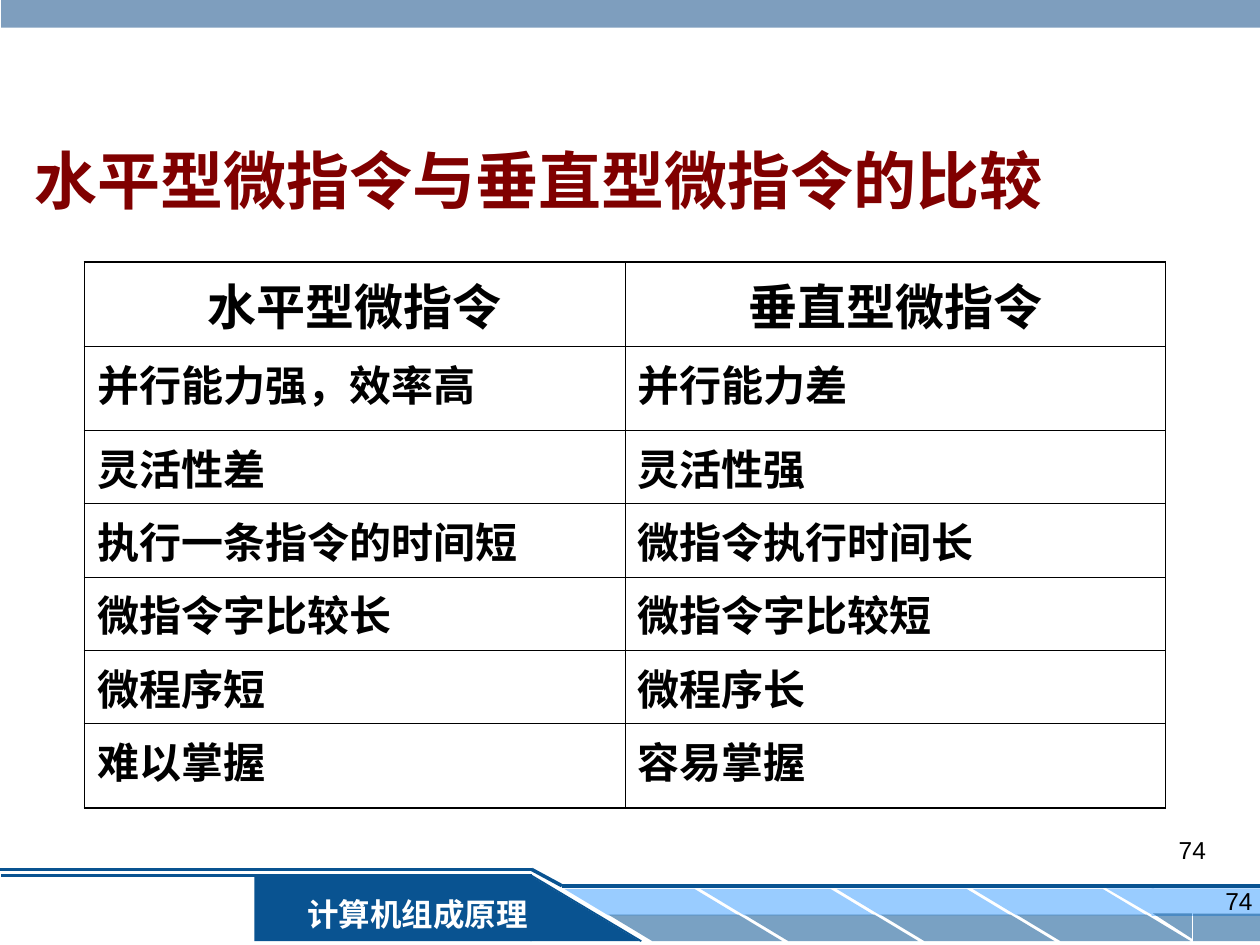
import dataclasses

import lxml.etree
import pptx
import pptx.dml.color
import pptx.enum.shapes
import pptx.enum.text
import pptx.oxml.ns
import pptx.util

SHAPE = pptx.enum.shapes.MSO_SHAPE
ALIGN = pptx.enum.text.PP_ALIGN
ANCHOR = pptx.enum.text.MSO_ANCHOR


@dataclasses.dataclass(frozen=True)
class Theme:
    navy: str = "095391"
    sky: str = "99CCFF"
    steel: str = "336699"
    maroon: str = "800000"
    black: str = "000000"
    white: str = "FFFFFF"
    body_font: str = "Arial"
    title_font: str = "Lato"
    footer_font: str = "Times New Roman"
    title_size: float = 36
    header_size: float = 28
    cell_size: float = 24
    footer_size: float = 18
    number_size: float = 14
    inner_border: float = 0.45
    outer_border: float = 1.08
    band_opacity: int = 54
    bar_opacity: int = 63


def assign(target, values):
    for name, value in values.items():
        setattr(target, name, value)


def add_element(parent, tag, **attributes):
    element = lxml.etree.SubElement(parent, pptx.oxml.ns.qn(tag))
    for name, value in attributes.items():
        element.set(name, str(value))
    return element


class SlideBuilder:
    columns, rows = 100, 75

    def __init__(self, presentation, theme):
        self.theme = theme
        self.column = presentation.slide_width / self.columns
        self.row = presentation.slide_height / self.rows
        self.slide = presentation.slides.add_slide(presentation.slide_layouts[5])
        self.shapes = self.slide.shapes

    def across(self, count):
        return pptx.util.Emu(round(count * self.column))

    def down(self, count):
        return pptx.util.Emu(round(count * self.row))

    def box(self, left, top, width, height):
        return self.across(left), self.down(top), self.across(width), self.down(height)

    def set_text(self, frame, text, size, color, font=None, bold=False, align=ALIGN.LEFT):
        frame.text = text
        paragraph = frame.paragraphs[0]
        paragraph.alignment = align
        assign(paragraph.font, {
            "name": font or self.theme.body_font,
            "size": pptx.util.Pt(size),
            "bold": bold,
        })
        paragraph.font.color.rgb = pptx.dml.color.RGBColor.from_string(color)

    def title(self, area, text):
        placeholder = self.shapes.title
        assign(placeholder, dict(zip(("left", "top", "width", "height"), self.box(*area))))
        assign(placeholder.text_frame, {
            "word_wrap": True,
            "vertical_anchor": ANCHOR.TOP,
            "auto_size": pptx.enum.text.MSO_AUTO_SIZE.NONE,
        })
        self.set_text(placeholder.text_frame, text, self.theme.title_size,
                      self.theme.maroon, self.theme.title_font, True)

    def shape(self, kind, area, color, opacity=100, flips=(), adjustment=None):
        shape = self.shapes.add_shape(kind, *self.box(*area))
        shape.shadow.inherit = False
        shape.line.fill.background()
        shape.fill.solid()
        shape.fill.fore_color.rgb = pptx.dml.color.RGBColor.from_string(color)
        if opacity < 100:
            fill = shape._element.spPr.find(pptx.oxml.ns.qn("a:solidFill"))
            add_element(fill[0], "a:alpha", val=opacity * 1000)
        for flip in flips:
            shape._element.spPr.xfrm.set(flip, "1")
        if adjustment is not None:
            shape.adjustments[0] = adjustment
        return shape

    def line(self, start, end, width):
        connector = self.shapes.add_connector(
            pptx.enum.shapes.MSO_CONNECTOR.STRAIGHT,
            self.across(start[0]), self.down(start[1]),
            self.across(end[0]), self.down(end[1]))
        connector.line.width = pptx.util.Pt(width)
        connector.line.color.rgb = pptx.dml.color.RGBColor.from_string(self.theme.navy)
        add_element(connector._element.spPr, "a:effectLst")

    def label(self, area, text):
        shape = self.shape(SHAPE.RECTANGLE, area, self.theme.navy)
        assign(shape.text_frame, {"word_wrap": True, "vertical_anchor": ANCHOR.MIDDLE})
        self.set_text(shape.text_frame, text, self.theme.footer_size, self.theme.white,
                      self.theme.footer_font, True, ALIGN.CENTER)

    def number(self, area, text):
        frame = self.shapes.add_textbox(*self.box(*area)).text_frame
        frame.word_wrap = True
        self.set_text(frame, text, self.theme.number_size, self.theme.black, align=ALIGN.RIGHT)

    def borders(self, cell, outer_sides):
        properties = cell._tc.get_or_add_tcPr()
        for index, side in enumerate(("L", "R", "T", "B")):
            width = self.theme.outer_border if side in outer_sides else self.theme.inner_border
            border = add_element(properties, f"a:ln{side}", w=pptx.util.Pt(width))
            fill = add_element(border, "a:solidFill")
            add_element(fill, "a:srgbClr", val=self.theme.black)
            properties.insert(index, border)

    def table(self, area, heights, content):
        count = len(content)
        width = len(content[0])
        table = self.shapes.add_table(count, width, *self.box(*area)).table
        for row, height in zip(table.rows, heights):
            row.height = self.down(height)
        for i, texts in enumerate(content):
            for j, text in enumerate(texts):
                cell = table.cell(i, j)
                cell.fill.background()
                edges = {"L": j == 0, "R": j == width - 1, "T": i == 0, "B": i == count - 1}
                self.borders(cell, [side for side, outer in edges.items() if outer])
                size = self.theme.header_size if i == 0 else self.theme.cell_size
                align = ALIGN.CENTER if i == 0 else ALIGN.LEFT
                self.set_text(cell.text_frame, text, size, self.theme.black,
                              bold=True, align=align)

    def footer(self, text):
        theme = self.theme
        both = ("flipH", "flipV")
        self.shape(SHAPE.RECTANGLE, (20.2, 69.5, 22, 5.2), theme.navy)
        self.line((50.9, 74.7), (42.2, 69.5), 1)
        self.line((42.2, 69.5), (0.1, 69.5), 1.5)
        self.line((-0.1, 69), (42.2, 69), 2)
        for index in range(4):
            left = 44.8 + 10.8 * index
            for shift, top, color, opacity in (
                    (0, 70.55, theme.sky, 100),
                    (3.5, 72.6, theme.navy, theme.band_opacity)):
                self.shape(SHAPE.PARALLELOGRAM, (left + shift, top, 13.8, 2.1), color,
                           opacity, ("flipH",), 1.66)
        self.shape(SHAPE.RECTANGLE, (91.4, 70.5, 8.6, 2.2), theme.sky)
        self.shape(SHAPE.RIGHT_TRIANGLE, (87.8, 70.5, 3.8, 2.2), theme.sky, flips=both)
        self.shape(SHAPE.RECTANGLE, (94.7, 72.5, 5.4, 2.2), theme.navy, theme.band_opacity)
        self.shape(SHAPE.RIGHT_TRIANGLE, (91.5, 72.5, 3.1, 2), theme.navy,
                   theme.band_opacity, both)
        self.line((44.6, 70.3), (100.1, 70.3), 2)
        self.label((22.9, 70.5, 20.5, 4), text)
        self.shape(SHAPE.RIGHT_TRIANGLE, (42.1, 69.5, 8.7, 5.2), theme.navy)
        self.line((42.2, 69), (44.6, 70.3), 2)


def main():
    presentation = pptx.Presentation()
    presentation.slide_width = pptx.util.Inches(10)
    presentation.slide_height = pptx.util.Inches(7.5)
    theme = Theme()
    builder = SlideBuilder(presentation, theme)
    builder.footer("计算机组成原理")
    builder.shape(SHAPE.RECTANGLE, (0.1, -0.3, 100, 2.5), theme.steel, theme.bar_opacity)
    builder.number((77.1, 69.8, 23.3, 5.2), "74")
    builder.number((71.7, 65.8, 25, 5.2), "74")
    builder.title((1.7, 10.7, 95.8, 9), "水平型微指令与垂直型微指令的比较")
    builder.table((6.7, 20.8, 85.8, 43.3), [6.67, 6.67, 5.83, 5.83, 5.83, 5.83, 6.67], [
        ("水平型微指令", "垂直型微指令"),
        ("并行能力强，效率高", "并行能力差"),
        ("灵活性差", "灵活性强"),
        ("执行一条指令的时间短", "微指令执行时间长"),
        ("微指令字比较长", "微指令字比较短"),
        ("微程序短", "微程序长"),
        ("难以掌握", "容易掌握"),
    ])
    presentation.save("out.pptx")


if __name__ == "__main__":
    main()
